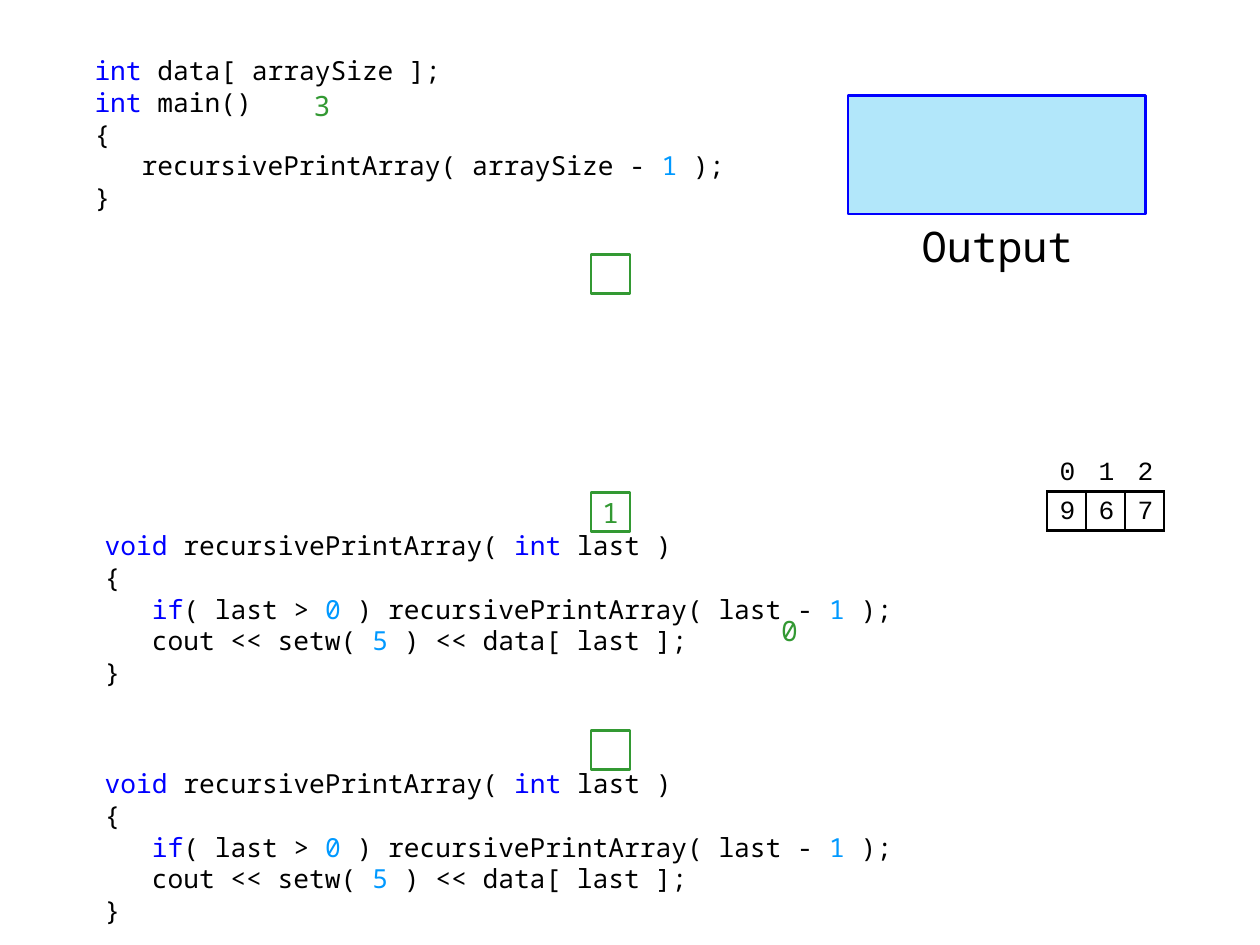
from lxml import etree
from pptx import Presentation
from pptx.dml.color import RGBColor
from pptx.enum.shapes import MSO_SHAPE
from pptx.enum.text import MSO_ANCHOR, PP_ALIGN
from pptx.oxml import parse_xml
from pptx.oxml.ns import nsdecls, qn
from pptx.util import Inches, Pt

RECTANGLE = MSO_SHAPE.RECTANGLE
MIDDLE, TOP = MSO_ANCHOR.MIDDLE, MSO_ANCHOR.TOP
CENTER, LEFT = PP_ALIGN.CENTER, PP_ALIGN.LEFT
BLACK = RGBColor(0x00, 0x00, 0x00)
BLUE = RGBColor(0x00, 0x00, 0xFF)
AZURE = RGBColor(0x00, 0x99, 0xFF)
GREEN = RGBColor(0x33, 0x99, 0x33)
SKY = RGBColor(0x00, 0xB0, 0xF0)
CODE_FONT, TABLE_FONT = "Noto Sans Mono", "Courier New"

CELL = 0.31
FRAME_TOP, FRAME_PITCH = 2.02, 1.89
CODE_OFFSET = 0.15

MAIN_CODE = [
    [("int", BLUE), (" data[ arraySize ];", BLACK)],
    [("int", BLUE), (" main()", BLACK)],
    [("{", BLACK)],
    [("   recursivePrintArray( arraySize - ", BLACK), ("1", AZURE), (" );", BLACK)],
    [("}", BLACK)],
]
PRINT_CODE = [
    [("void ", BLUE), ("recursivePrintArray( ", BLACK), ("int", BLUE), (" last )", BLACK)],
    [("{", BLACK)],
    [("   ", BLACK), ("if", BLUE), ("( last > ", BLACK), ("0", AZURE),
     (" ) recursivePrintArray( last - ", BLACK), ("1", AZURE), (" );", BLACK)],
    [("   cout << setw( ", BLACK), ("5", AZURE), (" ) << data[ last ];", BLACK)],
    [("}", BLACK)],
]


class SlideBuilder:
    """Holds the style and the current slide, and adds each kind of element."""

    def __init__(self, slide):
        self.slide = slide
        self.line_width = Pt(1.5)
        self.code_spacing = Pt(18.1)

    def apply(self, target, values):
        for name, value in values.items():
            setattr(target, name, value)

    def add_lines(self, frame, lines, size, font=CODE_FONT, align=LEFT, spacing=None):
        for index, spans in enumerate(lines):
            para = frame.add_paragraph() if index else frame.paragraphs[0]
            self.apply(para, {"alignment": align, "line_spacing": spacing})
            for text, color in spans:
                span = para.add_run()
                span.text = text
                self.apply(span.font, {"name": font, "size": Pt(size)})
                span.font.color.rgb = color

    def set_frame(self, frame, margins, anchor=TOP, wrap=True):
        left, top, right, bottom = map(Inches, margins)
        self.apply(frame, {"margin_left": left, "margin_top": top,
                           "margin_right": right, "margin_bottom": bottom,
                           "vertical_anchor": anchor, "word_wrap": wrap})

    def text_box(self, place):
        return self.slide.shapes.add_textbox(*map(Inches, place))

    def code(self, place, lines, margins):
        frame = self.text_box(place).text_frame
        self.set_frame(frame, margins)
        self.add_lines(frame, lines, 15, spacing=self.code_spacing)

    def fill_value(self, box, text):
        frame = box.text_frame
        self.set_frame(frame, (0.1, 0, 0.1, 0), MIDDLE, False)
        self.add_lines(frame, [[(text, GREEN)]], 16, align=CENTER)

    def value(self, place, text):
        self.fill_value(self.text_box(place), text)

    def caption(self, place, text):
        frame = self.text_box(place).text_frame
        self.set_frame(frame, (0.1, 0.05, 0.1, 0.05))
        self.add_lines(frame, [[(text, BLACK)]], 24, align=CENTER)

    def rectangle(self, place, line, fill=None, opacity=100):
        box = self.slide.shapes.add_shape(RECTANGLE, *map(Inches, place))
        box.shadow.inherit = False
        box.line.color.rgb = line
        box.line.width = self.line_width
        if fill is None:
            box.fill.background()
        else:
            box.fill.solid()
            box.fill.fore_color.rgb = fill
            color = box._element.spPr.find(qn("a:solidFill"))[0]
            etree.SubElement(color, qn("a:alpha")).set("val", str(opacity * 1000))
        return box

    def border(self, cell, sides):
        properties = cell._tc.get_or_add_tcPr()
        for side in sides:
            properties.append(parse_xml(
                f'<a:ln{side} {nsdecls("a")} w="{int(self.line_width)}"><a:solidFill>'
                f'<a:srgbClr val="{BLACK}"/></a:solidFill></a:ln{side}>'))

    def array_table(self, left, top, rows):
        width, height = CELL * len(rows[0]), CELL * len(rows)
        table = self.slide.shapes.add_table(
            len(rows), len(rows[0]), *map(Inches, (left, top, width, height))).table
        self.apply(table, {"first_row": False, "horz_banding": False})
        for row_index, row in enumerate(rows):
            for column_index, text in enumerate(row):
                cell = table.cell(row_index, column_index)
                self.apply(cell, {"margin_left": Inches(0.1), "margin_right": Inches(0.1),
                                  "margin_top": Inches(0.02), "margin_bottom": 0,
                                  "vertical_anchor": MIDDLE})
                self.border(cell, "LRTB" if row_index else "B")
                cell.fill.background()
                self.add_lines(cell.text_frame, [[(text, BLACK)]], 15, TABLE_FONT, CENTER)


def main():
    deck = Presentation()
    deck.slide_width, deck.slide_height = Inches(10), Inches(7.5)
    builder = SlideBuilder(deck.slides.add_slide(deck.slide_layouts[6]))

    builder.code((0.59, 0.29, 5.35, 1.42), MAIN_CODE, (0.16, 0.14, 0.1, 0.1))
    frame_tops = [FRAME_TOP + FRAME_PITCH * index for index in range(3)]
    for top in frame_tops[1:]:
        builder.code((0.59, top + CODE_OFFSET, 6.61, 1.42), PRINT_CODE,
                     (0.24, 0.14, 0.04, 0.1))

    for top, text in zip(frame_tops, ("", "1", "")):
        box = builder.rectangle((4.69, top, CELL, CELL), GREEN)
        if text:
            builder.fill_value(box, text)
    builder.value((2.32, 0.6, 0.47, 0.47), "3")
    builder.value((6.1, 4.85, CELL, CELL), "0")

    builder.rectangle((6.73, 0.76, 2.36, 0.94), BLUE, SKY, 30)
    builder.caption((7.05, 1.7, 1.73, 0.47), "Output")
    builder.array_table(8.31, 3.59, ["012", "967"])
    deck.save("out.pptx")


if __name__ == "__main__":
    main()
